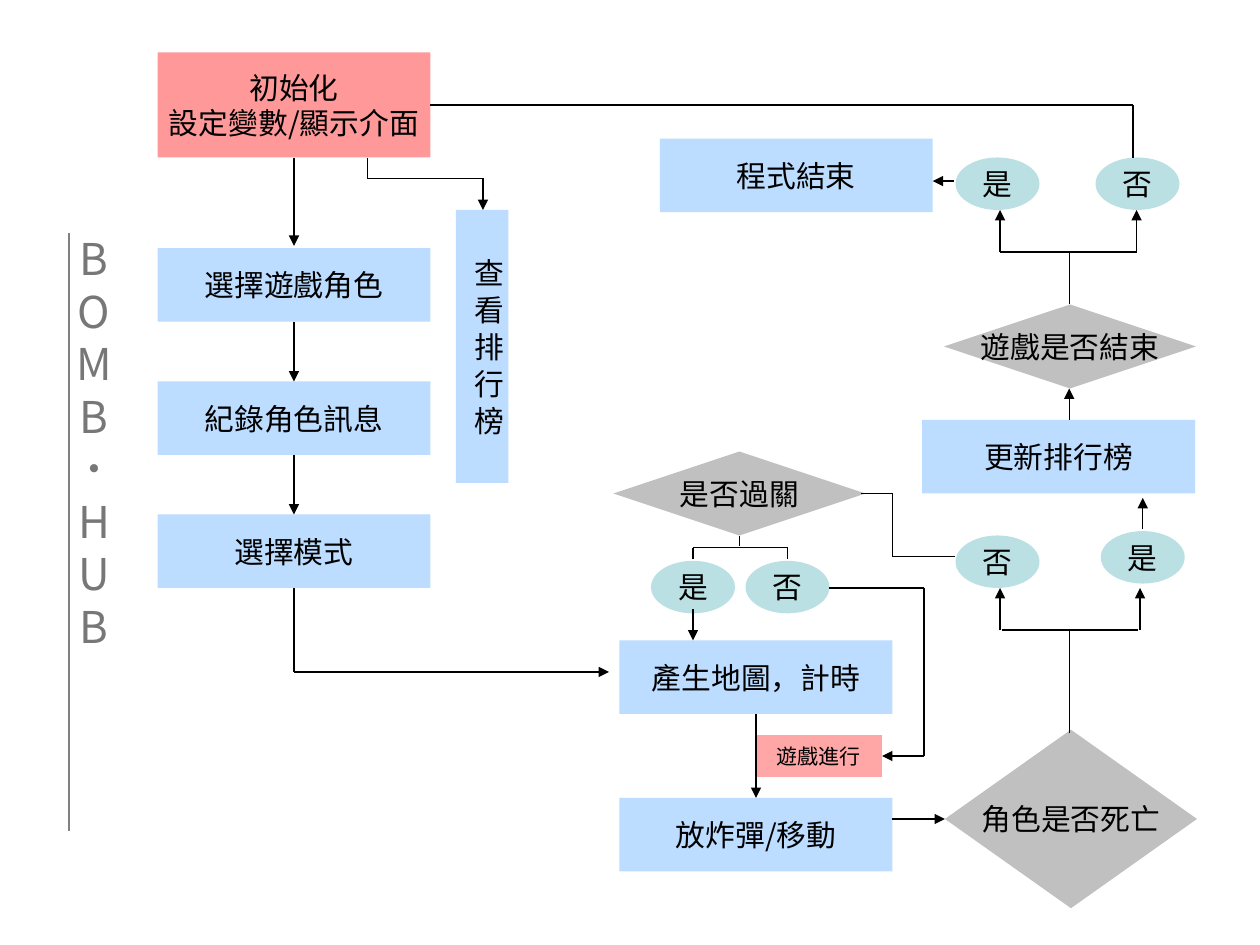
from lxml import etree
from pptx import Presentation
from pptx.dml.color import RGBColor
from pptx.enum.shapes import MSO_CONNECTOR, MSO_SHAPE
from pptx.enum.text import MSO_ANCHOR, PP_ALIGN
from pptx.oxml.ns import qn
from pptx.util import Pt

CJK = "Noto Sans CJK SC"
BLUE, RED, TEAL, GRAY = "99CCFF", "FF0000", "BBE0E3", "C0C0C0"
BLACK = "000000"
STEP_SIZE = (156, 42)
ANSWER_SIZE = (48, 30)


def colour(value):
    return RGBColor.from_string(value)


def write(shape, text, size=17, font=CJK, ink=BLACK, pitch=None,
          align=PP_ALIGN.CENTER, anchor=MSO_ANCHOR.MIDDLE):
    frame = shape.text_frame
    frame.text = text
    frame.word_wrap = False
    frame.vertical_anchor = anchor
    for para in frame.paragraphs:
        para.alignment = align
        if pitch:
            para.line_spacing = Pt(pitch)
        for span in para.runs:
            span.font.size = Pt(size)
            span.font.color.rgb = colour(ink)
            span.font.name = font
            east_asian = etree.SubElement(span.font._element, qn("a:ea"))
            east_asian.set("typeface", CJK)


def add_block(page, kind, place, fill, opacity=100):
    shape = page.shapes.add_shape(kind, *[Pt(value) for value in place])
    shape.shadow.inherit = False
    shape.line.fill.background()
    shape.fill.solid()
    shape.fill.fore_color.rgb = colour(fill)
    if opacity < 100:
        solid = shape._element.spPr.find(qn("a:solidFill"))
        alpha = etree.SubElement(solid[0], qn("a:alpha"))
        alpha.set("val", str(opacity * 1000))
    return shape


def add_step(page, left, top, text):
    box = add_block(page, MSO_SHAPE.RECTANGLE, (left, top, *STEP_SIZE), BLUE, 65)
    write(box, text)


def add_answer(page, left, top, text):
    oval = add_block(page, MSO_SHAPE.OVAL, (left, top, *ANSWER_SIZE), TEAL)
    write(oval, text)


def add_question(page, left, top, height, text):
    diamond = add_block(page, MSO_SHAPE.DIAMOND, (left, top, 144, height), GRAY)
    write(diamond, text, font="Arial")


def add_text(page, place, text, **style):
    box = page.shapes.add_textbox(*[Pt(value) for value in place])
    write(box, text, anchor=MSO_ANCHOR.TOP, **style)
    return box


def add_route(page, points, arrow=True, ink=BLACK):
    """Join the points with straight lines; the last one may carry an arrowhead."""
    for start, end in zip(points, points[1:]):
        line = page.shapes.add_connector(
            MSO_CONNECTOR.STRAIGHT, *[Pt(value) for value in (*start, *end)])
        line.line.color.rgb = colour(ink)
        line.line.width = Pt(0.75)
        etree.SubElement(line._element.spPr, qn("a:effectLst"))
    if arrow:
        outline = line.line._get_or_add_ln()
        etree.SubElement(outline, qn("a:tailEnd")).set("type", "triangle")


def main():
    deck = Presentation()
    deck.slide_width, deck.slide_height = Pt(720), Pt(540)
    page = deck.slides.add_slide(deck.slide_layouts[6])

    # Process steps
    for left, top, text in [
        (90, 141.8, "選擇遊戲角色"), (90, 218, "紀錄角色訊息"),
        (90, 294, "選擇模式"), (354, 366, "產生地圖，計時"),
        (354, 456, "放炸彈/移動"), (527, 240, "更新排行榜"),
        (377, 79.3, "程式結束"),
    ]:
        add_step(page, left, top, text)

    # Start and running state
    start = add_block(page, MSO_SHAPE.RECTANGLE, (90, 30, 156, 60), RED, 40)
    write(start, "初始化\n設定變數/顯示介面", pitch=20.5)
    running = add_block(page, MSO_SHAPE.RECTANGLE, (432, 420, 72, 24), RED, 35)
    write(running, "遊戲進行", size=12, font="Arial")

    # Decisions and their answers
    for left, top, height, text in [
        (540, 417, 102, "角色是否死亡"), (539.5, 174, 48, "遊戲是否結束"),
        (350.5, 258, 48, "是否過關"),
    ]:
        add_question(page, left, top, height, text)
    for left, top, text in [
        (546, 306, "否"), (629, 303.5, "是"), (626, 90, "否"),
        (546, 90, "是"), (372, 320.5, "是"), (426, 320.5, "否"),
    ]:
        add_answer(page, left, top, text)

    # Ranking column
    add_block(page, MSO_SHAPE.RECTANGLE, (260.5, 120, 30, 156), BLUE, 65)
    ranking = add_text(page, (258, 140.5, 34.5, 111.5), "查 看 排 行 榜",
                       font="Arial", align=PP_ALIGN.LEFT)
    ranking.text_frame._txBody.bodyPr.set("vert", "eaVert")

    # Routes that end in an arrow
    for points in [
        [(168, 90), (168, 140.5)],
        [(168, 184), (168, 218)],
        [(168, 260), (168, 294)],
        [(168, 336), (168, 384), (348, 384)],
        [(210, 90), (210, 102), (276, 102), (276, 120)],
        [(432, 408), (432, 456)],
        [(510, 468), (540, 468)],
        [(571.5, 360), (571.5, 336)],
        [(651.5, 360), (651.5, 336)],
        [(653, 302.5), (653, 284.5)],
        [(611, 240), (611, 222)],
        [(571.5, 144), (571.5, 120)],
        [(649.5, 144), (649.5, 120)],
        [(545, 103.5), (533, 103.5)],
        [(396, 348), (396, 366)],
        [(474, 336), (528, 336), (528, 432), (504, 432)],
    ]:
        add_route(page, points)

    # Plain branches
    for points in [
        [(611, 419), (611, 359.5)],
        [(572.5, 360), (650.5, 360)],
        [(611, 174), (611, 144)],
        [(571.5, 144), (649.5, 144)],
        [(647.5, 90), (647.5, 60), (246, 60)],
        [(492, 282), (510, 282), (510, 318), (546, 318)],
        [(422.5, 306), (422.5, 312)],
        [(396, 319.5), (396, 313), (450, 313), (450, 319.5)],
    ]:
        add_route(page, points, arrow=False)

    # Side title
    add_text(page, (34, 129, 39.5, 247), "\n".join("BOMB˙HUB"),
             size=25, ink="777777", pitch=30)
    add_route(page, [(39.5, 133), (39.5, 475)], arrow=False, ink="808080")

    deck.save("out.pptx")


main()
